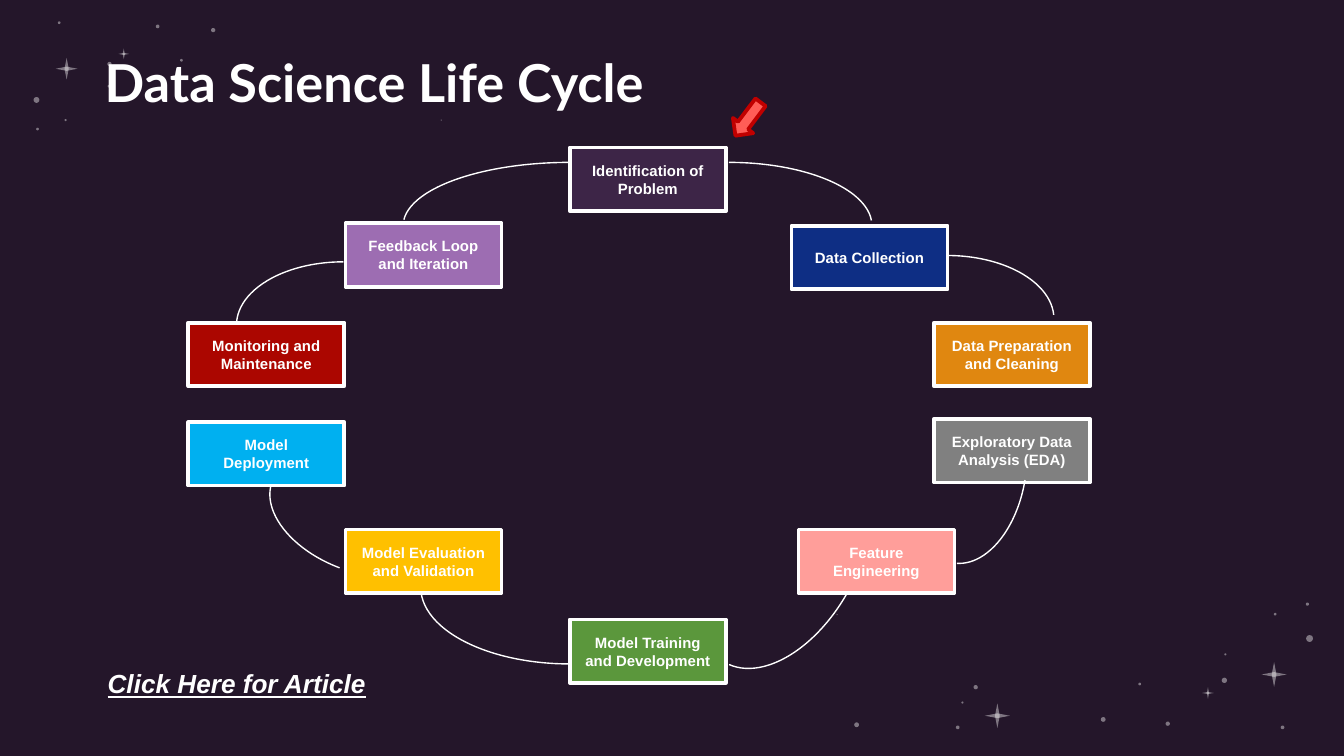
from dataclasses import dataclass

import pptx
import pptx.util
import pptx.dml.color
import pptx.enum.shapes
import pptx.enum.text
import pptx.oxml.ns
from lxml import etree

Cm, Pt = pptx.util.Cm, pptx.util.Pt
rgb = pptx.dml.color.RGBColor.from_string
qn = pptx.oxml.ns.qn
SHAPE = pptx.enum.shapes.MSO_SHAPE
ALIGN = pptx.enum.text.PP_ALIGN
ANCHOR = pptx.enum.text.MSO_ANCHOR
FIT = pptx.enum.text.MSO_AUTO_SIZE


@dataclass(frozen=True)
class Theme:
    night: str = "24162A"
    white: str = "FFFFFF"
    pointer: str = "FF5D57"
    pointer_edge: str = "C00000"
    star_alpha: str = "41000"
    title_size: float = 28
    link_size: float = 14
    stage_size: float = 8
    border: float = 2
    thread: float = 0.75


theme = Theme()


def add_figure(kind, left, top, width, height, fill=None, line=None, weight=None):
    """Add a preset shape in cm; a fill or line of None is left off."""
    figure = slide.shapes.add_shape(kind, Cm(left), Cm(top), Cm(width), Cm(height))
    figure.shadow.inherit = False
    if fill:
        figure.fill.solid()
        figure.fill.fore_color.rgb = rgb(fill)
    else:
        figure.fill.background()
    if line:
        figure.line.color.rgb = rgb(line)
        figure.line.width = Pt(weight)
    else:
        figure.line.fill.background()
    return figure


def write_text(holder, text, font_format, **paragraph_format):
    holder.text_frame.word_wrap = True
    paragraph = holder.text_frame.paragraphs[0]
    for key, value in paragraph_format.items():
        setattr(paragraph, key, value)
    run = paragraph.add_run()
    run.text = text
    for key, value in font_format.items():
        setattr(run.font, key, value)
    run.font.color.rgb = rgb(theme.white)


deck = pptx.Presentation()
deck.slide_width, deck.slide_height = Cm(25.4), Cm(14.29)
slide = deck.slides.add_slide(deck.slide_layouts[6])
slide.background.fill.solid()
slide.background.fill.fore_color.rgb = rgb(theme.night)

# Night sky: centre x, centre y, span, thickness of each sparkle
sparkles = [
    (18.85, 13.53, 0.47, 0.09), (24.08, 12.75, 0.47, 0.09), (22.83, 13.1, 0.22, 0.04),
    (1.26, 1.3, 0.41, 0.08), (2.34, 1.02, 0.2, 0.04),
]
# Centre x, centre y, diameter of each dot
dots = [
    (24.75, 12.07, 0.13), (24.1, 11.61, 0.05), (24.24, 13.75, 0.07), (23.14, 12.86, 0.1),
    (23.16, 12.37, 0.04), (22.07, 13.68, 0.08), (21.54, 12.93, 0.05), (20.85, 13.6, 0.09),
    (18.19, 13.28, 0.04), (18.1, 13.75, 0.07), (18.44, 12.99, 0.08), (16.19, 13.7, 0.09),
    (15.82, 11.62, 0.02), (24.71, 11.42, 0.06), (0.69, 1.89, 0.11), (1.24, 2.27, 0.04),
    (1.12, 0.43, 0.05), (2.07, 1.21, 0.08), (2.06, 1.63, 0.05), (2.98, 0.5, 0.07),
    (3.43, 1.14, 0.05), (4.03, 0.57, 0.08), (8.34, 2.27, 0.02), (0.71, 2.44, 0.05),
]
stars = [(SHAPE.OVAL, x, y, size, size) for x, y, size in dots]
for x, y, span, thickness in sparkles:
    stars.append((SHAPE.DIAMOND, x, y, thickness, span))
    stars.append((SHAPE.DIAMOND, x, y, span, thickness))
for kind, x, y, width, height in stars:
    star = add_figure(kind, x - width / 2, y - height / 2, width, height, theme.white)
    tint = star.element.spPr.find(qn("a:solidFill")).find(qn("a:srgbClr"))
    etree.SubElement(tint, qn("a:alpha")).set("val", theme.star_alpha)

title = slide.shapes.add_textbox(Cm(1.73), Cm(0.53), Cm(14.48), Cm(1.19))
for side in ("left", "top", "right", "bottom"):
    setattr(title.text_frame, f"margin_{side}", Cm(0.25))
title_font = {"name": "Lato", "size": Pt(theme.title_size), "bold": True}
write_text(title, "Data Science Life Cycle", title_font, line_spacing=1.15)

# Stages clockwise from the top: left, top, fill
stages = [
    ("Identification of Problem", 10.77, 2.79, "3D2547"),
    ("Data Collection", 14.96, 4.27, "0E2E84"),
    ("Data Preparation and Cleaning", 17.65, 6.1, "E08710"),
    ("Exploratory Data Analysis (EDA)", 17.65, 7.92, "808080"),
    ("Feature Engineering", 15.09, 10.01, "FF9E9A"),
    ("Model Training and Development", 10.77, 11.71, "5B973C"),
    ("Model Evaluation and Validation", 6.53, 10.01, "FFC000"),
    ("Model Deployment", 3.56, 7.98, "00B0F0"),
    ("Monitoring and Maintenance", 3.56, 6.1, "AB0600"),
    ("Feedback Loop and Iteration", 6.53, 4.22, "9D6DB2"),
]
stage_font = {"name": "Arial", "size": Pt(theme.stage_size), "bold": True}
for label, left, top, fill in stages:
    stage = add_figure(SHAPE.RECTANGLE, left, top, 2.95, 1.2, fill, theme.white, theme.border)
    stage.text_frame.vertical_anchor = ANCHOR.MIDDLE
    write_text(stage, label, stage_font, alignment=ALIGN.CENTER)

# Arcs between stages: left, top, width, height, rotation, mirrored
links = [
    (11.07, 3.07, 5.41, 2.39, 0, False),
    (15.88, 4.83, 4.04, 2.39, 0, False),
    (16.54, 7.82, 3.53, 2.16, 99.3, False),
    (12.57, 9.22, 4.52, 2.69, 119.8, False),
    (7.95, 9.65, 5.64, 2.9, 180, False),
    (5.03, 8.64, 3.53, 2.16, 200.5, False),
    (4.47, 4.95, 4.04, 2.39, 0, True),
    (7.62, 3.07, 6.3, 2.39, 0, True),
]
for left, top, width, height, rotation, mirrored in links:
    link = add_figure(SHAPE.ARC, left, top, width, height, None, theme.white, theme.thread)
    link.adjustments[0], link.adjustments[1] = 162, 214.77
    link.rotation = rotation
    if mirrored:
        link.element.spPr.find(qn("a:xfrm")).set("flipH", "1")

pointer = add_figure(SHAPE.RIGHT_ARROW, 13.74, 2.01, 0.79, 0.48,
                     theme.pointer, theme.pointer_edge, theme.border)
pointer.rotation = 126.8

article = slide.shapes.add_textbox(Cm(0.74), Cm(12.5), Cm(7.47), Cm(0.86))
article.text_frame.auto_size = FIT.SHAPE_TO_FIT_TEXT
article_font = {"name": "Arial", "size": Pt(theme.link_size),
                "bold": True, "italic": True, "underline": True}
write_text(article, "Click Here for Article", article_font, alignment=ALIGN.CENTER)

deck.save("out.pptx")
